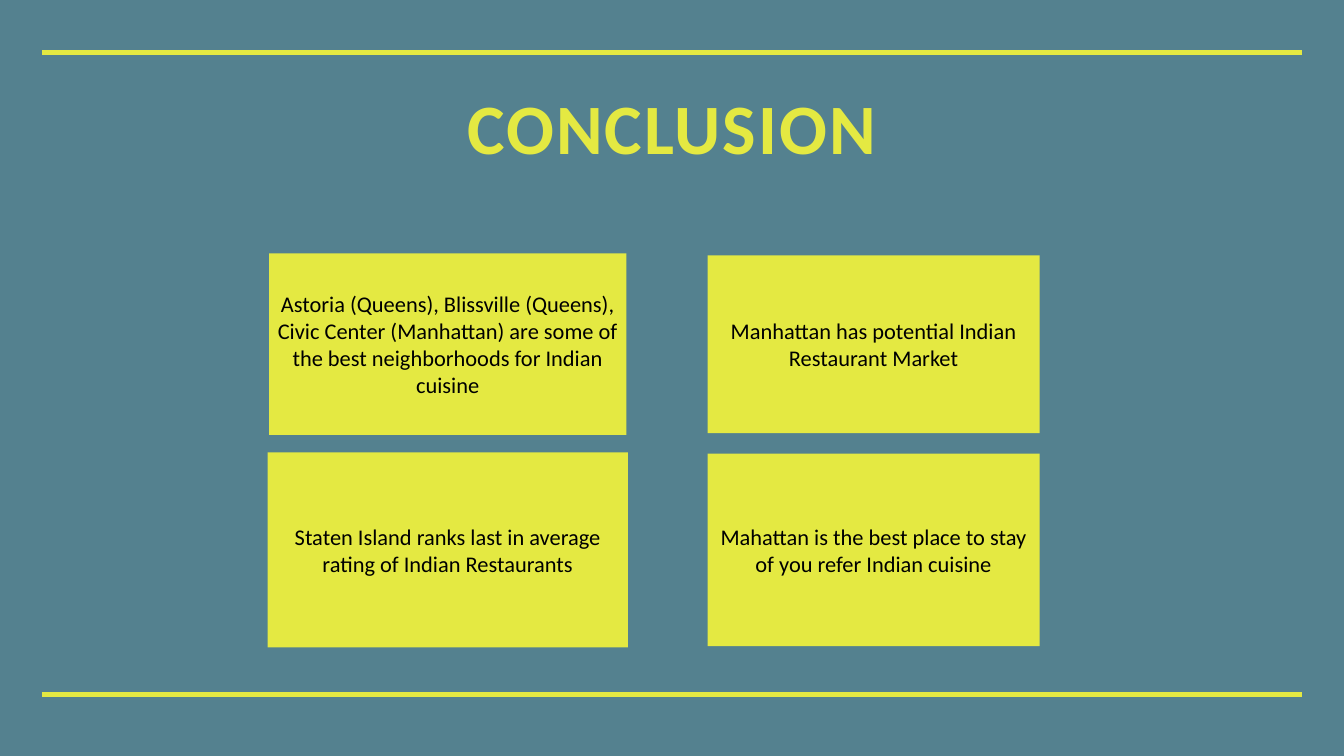
import pptx
import pptx.util
import pptx.dml.color
import pptx.enum.shapes
import pptx.enum.text
import pptx.oxml.ns
import lxml.etree

Inches, Pt = pptx.util.Inches, pptx.util.Pt
RGB = pptx.dml.color.RGBColor
TEAL = RGB(0x54, 0x81, 0x8F)
LIME = RGB(0xE4, 0xE9, 0x42)
BLACK = RGB(0, 0, 0)
WIDE, HIGH = 26.67, 15
MARGIN = 0.83
RULES = (1.04, 13.78)
TITLE = (4.78, 1.63, 17.11, 1.96)
GRID = (4.66, 4.79, 16.9, 8.16)
CARDS = [
    [("Astoria (Queens), Blissville (Queens), Civic Center (Manhattan) are some of "
      "the best neighborhoods for Indian cuisine", 7.09, 3.6),
     ("Manhattan has potential Indian Restaurant Market", 6.59, 3.53)],
    [("Staten Island ranks last in average rating of Indian Restaurants", 7.15, 3.87),
     ("Mahattan is the best place to stay of you refer Indian cuisine", 6.59, 3.82)],
]
FRAME = {
    "word_wrap": True,
    "auto_size": pptx.enum.text.MSO_AUTO_SIZE.NONE,
    "vertical_anchor": pptx.enum.text.MSO_ANCHOR.MIDDLE,
    **{f"margin_{side}": Inches(0.06) for side in ("left", "right", "top", "bottom")},
}


def apply(item, values):
    """Set each named attribute on an item."""
    for name, value in values.items():
        setattr(item, name, value)


def write(shape, text, color, spacing=1.0, **font):
    """Put one centred, styled paragraph in a shape."""
    frame = shape.text_frame
    apply(frame, FRAME)
    para = frame.paragraphs[0]
    apply(para, {"alignment": pptx.enum.text.PP_ALIGN.CENTER, "line_spacing": spacing})
    run = para.add_run()
    run.text = text
    apply(run.font, {"name": "Calibri", **font})
    run.font.color.rgb = color
    return run


def head(slide, box):
    """Place the title in its box."""
    title = slide.shapes.title
    apply(title, dict(zip(("left", "top", "width", "height"), map(Inches, box))))
    run = write(title, "CONCLUSION", LIME, 0.9, size=Pt(101.2), bold=True)
    run.font._element.set("spc", "300")


def rule(slide, level):
    """Draw a line from margin to margin."""
    line = slide.shapes.add_connector(
        pptx.enum.shapes.MSO_CONNECTOR.STRAIGHT,
        Inches(MARGIN), Inches(level), Inches(WIDE - MARGIN), Inches(level))
    line.line.color.rgb = LIME
    line.line.width = Pt(6)
    lxml.etree.SubElement(line._element.spPr, pptx.oxml.ns.qn("a:effectLst"))


def cards(slide, box):
    """Centre each card in its cell of a two by two grid."""
    left, top, width, height = box
    for row, line in enumerate(CARDS):
        for col, (text, wide, high) in enumerate(line):
            mid = left + width * (col + 0.5) / 2
            level = top + height * (row + 0.5) / 2
            card = slide.shapes.add_shape(
                pptx.enum.shapes.MSO_SHAPE.RECTANGLE,
                Inches(mid - wide / 2), Inches(level - high / 2),
                Inches(wide), Inches(high))
            card.shadow.inherit = False
            card.fill.solid()
            card.fill.fore_color.rgb = LIME
            card.line.fill.background()
            write(card, text, BLACK, size=Pt(32))


def main():
    """Build and save the slide."""
    deck = pptx.Presentation()
    apply(deck, {"slide_width": Inches(WIDE), "slide_height": Inches(HIGH)})
    slide = deck.slides.add_slide(deck.slide_layouts.get_by_name("Title Only"))
    slide.background.fill.solid()
    slide.background.fill.fore_color.rgb = TEAL
    for level in RULES:
        rule(slide, level)
    head(slide, TITLE)
    cards(slide, GRID)
    deck.save("out.pptx")


if __name__ == "__main__":
    main()
